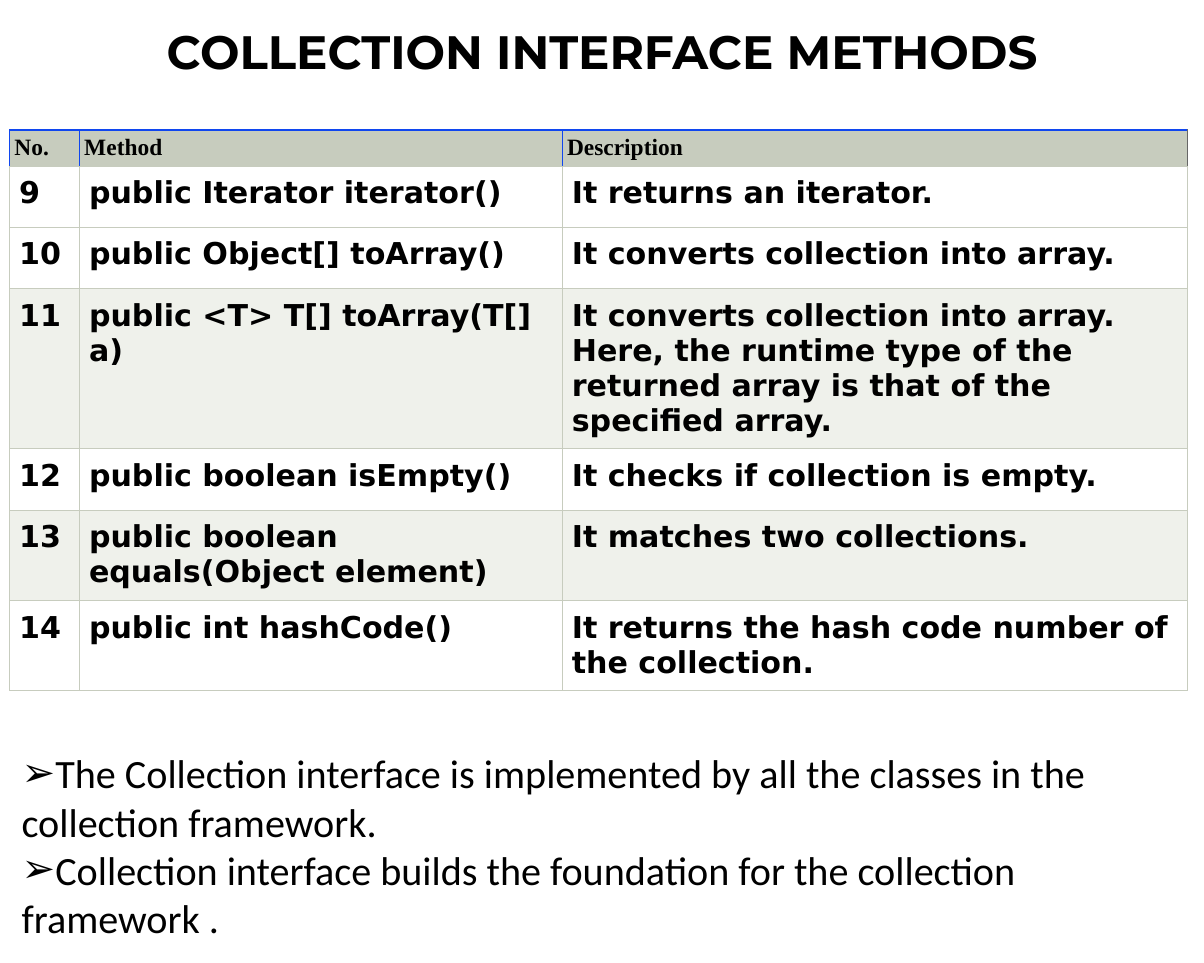
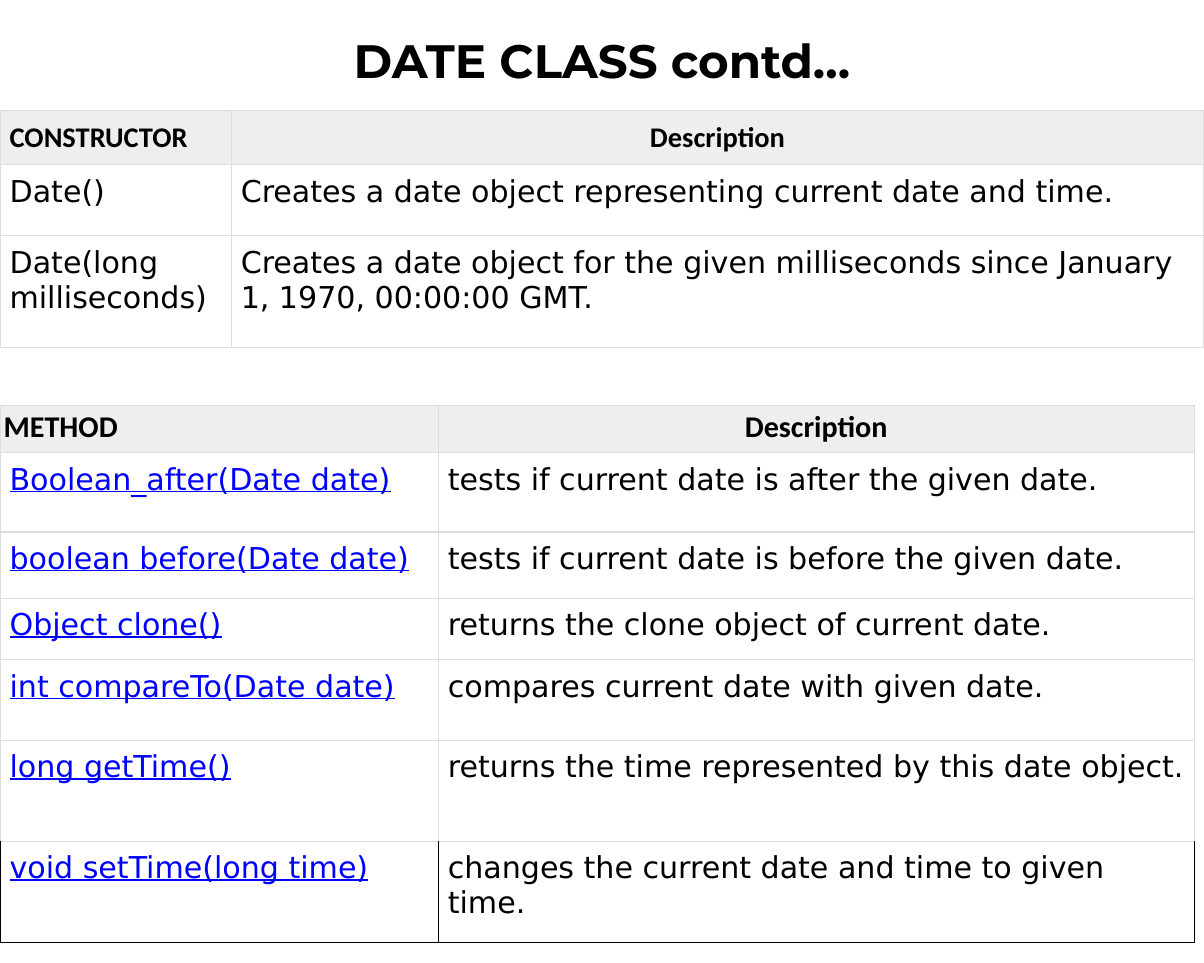
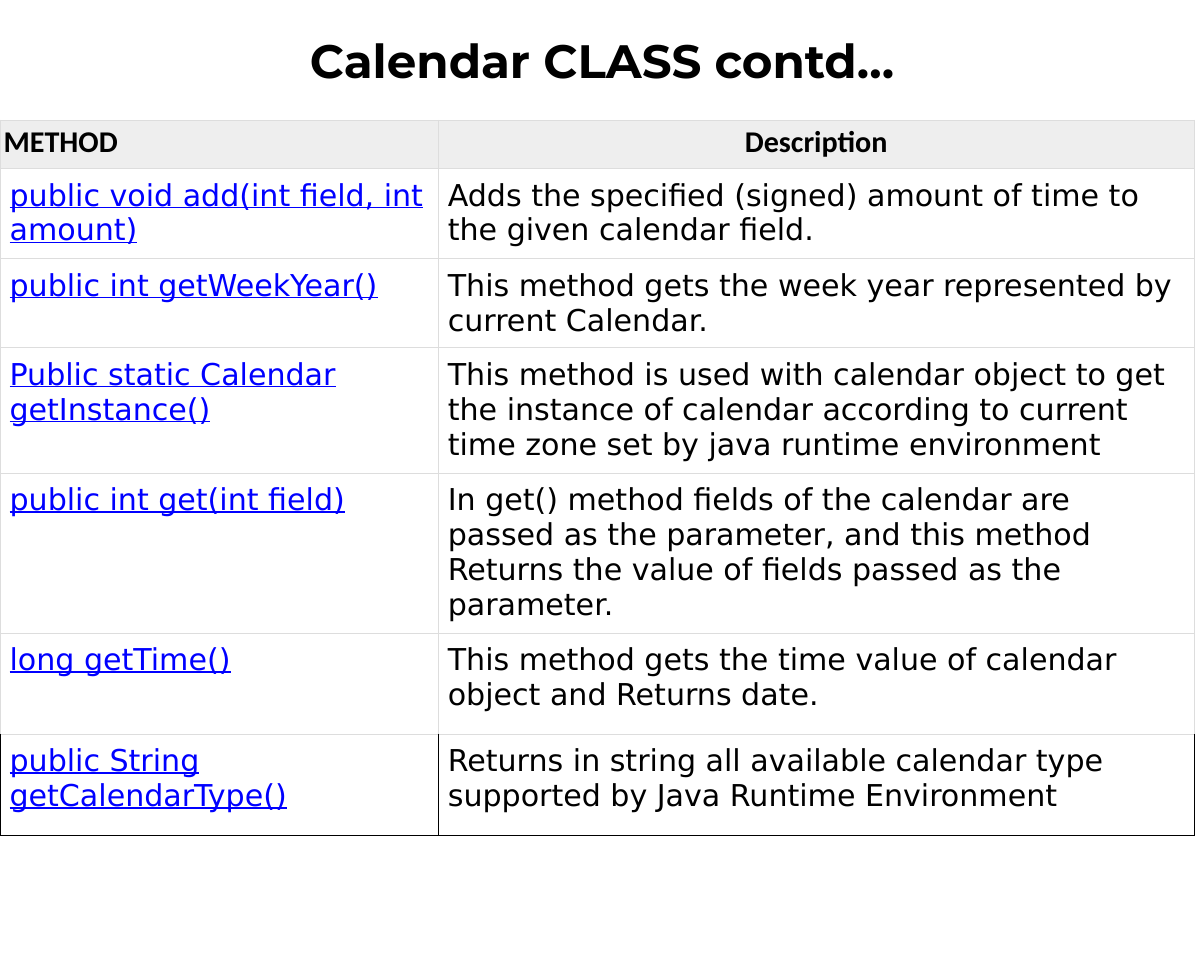
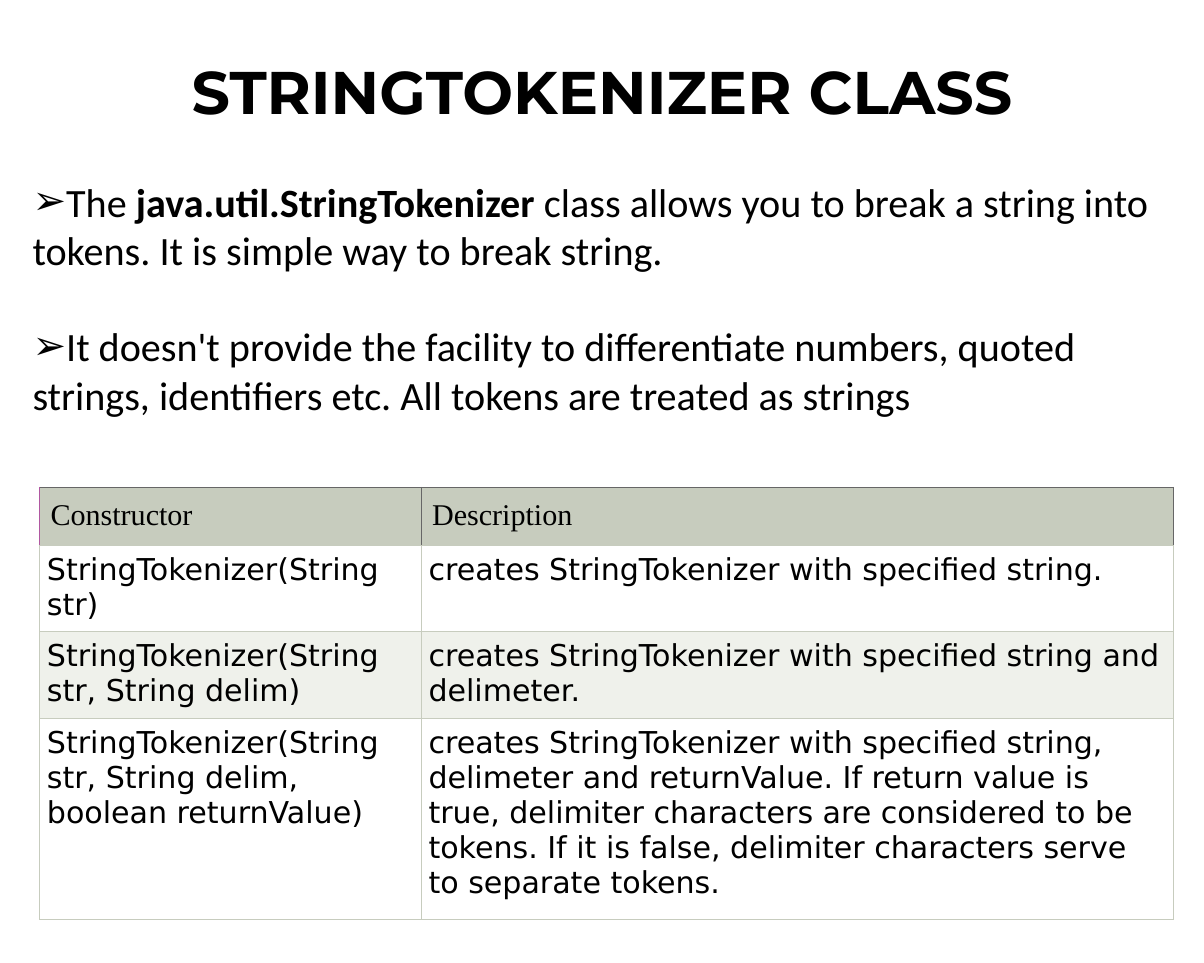
import collections

import lxml.etree
import pptx
import pptx.dml.color
import pptx.enum.text
import pptx.oxml.ns
import pptx.util

RGBColor = pptx.dml.color.RGBColor
BLACK = RGBColor(0x00, 0x00, 0x00)
WHITE = RGBColor(0xFF, 0xFF, 0xFF)
LINK_BLUE = RGBColor(0x00, 0x00, 0xFF)
SAGE = RGBColor(0xC7, 0xCC, 0xBE)
PALE_SAGE = RGBColor(0xEF, 0xF1, 0xEB)
RULE_GREY = RGBColor(0xDD, 0xDD, 0xDD)
HEADER_GREY = RGBColor(0xEE, 0xEE, 0xEE)
DARK_GREY = RGBColor(0x66, 0x66, 0x66)
EDGE_BLUE = RGBColor(0x10, 0x46, 0xEF)
EDGE_PURPLE = RGBColor(0xB0, 0x57, 0xA1)

# The slide is a grid of 100 columns by 80 rows of square units.
UNIT = pptx.util.Inches(0.1)
COLUMNS, ROWS = 100, 80
TITLE_LEFT, TITLE_WIDTH, TITLE_HEIGHT = 7.5, 85, 6.6
BODY_SIZE = pptx.util.Pt(24)
CELL_SIZE = pptx.util.Pt(18)
BORDER_WIDTH = pptx.util.Pt(0.75)
LEFT = pptx.enum.text.PP_ALIGN.LEFT
CENTER = pptx.enum.text.PP_ALIGN.CENTER

TableStyle = collections.namedtuple(
    "TableStyle",
    "header_font header_size header_bold header_fill header_margin header_edges "
    "description_align method_color method_underline body_bold body_margin "
    "rule closing_edge",
)
# header_edges holds the colours of the left, inner, right and top lines.
SAGE_BOLD = TableStyle(
    "Times New Roman", pptx.util.Pt(14), True, SAGE, 0.4,
    (EDGE_BLUE, EDGE_BLUE, DARK_GREY, EDGE_BLUE),
    LEFT, BLACK, False, True, 0.8, SAGE, SAGE)
SAGE_PLAIN = SAGE_BOLD._replace(
    header_size=CELL_SIZE, header_bold=False, header_margin=0.9,
    header_edges=(EDGE_PURPLE, DARK_GREY, DARK_GREY, DARK_GREY),
    body_bold=False, body_margin=0.6)
GREY_CONSTRUCTORS = TableStyle(
    "Calibri", pptx.util.Pt(17), True, HEADER_GREY, 0.8, (RULE_GREY,) * 4,
    CENTER, BLACK, False, False, 0.8, RULE_GREY, RULE_GREY)
GREY_METHODS = GREY_CONSTRUCTORS._replace(
    header_size=CELL_SIZE, header_margin=0.3, method_color=LINK_BLUE,
    method_underline=True, closing_edge=BLACK)

presentation = pptx.Presentation()
presentation.slide_width = COLUMNS * UNIT
presentation.slide_height = ROWS * UNIT


def add_slide(title, title_top, title_size=28, bullets=(), body_box=None):
    """Add a titled slide; every second run of a bullet is bold."""
    layout = presentation.slide_layouts[1 if bullets else 5]
    slide = presentation.slides.add_slide(layout)
    shape = slide.shapes.title
    shape.left, shape.top, shape.width, shape.height = (
        int(length * UNIT)
        for length in (TITLE_LEFT, title_top, TITLE_WIDTH, TITLE_HEIGHT))
    shape.text_frame.text = title
    shape.text_frame.vertical_anchor = pptx.enum.text.MSO_ANCHOR.MIDDLE
    shape.text_frame.auto_size = pptx.enum.text.MSO_AUTO_SIZE.NONE
    paragraph = shape.text_frame.paragraphs[0]
    paragraph.alignment = CENTER
    paragraph.font.name = "Montserrat"
    paragraph.font.size = pptx.util.Pt(title_size)
    paragraph.font.bold = True
    paragraph.font.color.rgb = BLACK
    if not bullets:
        return slide

    body = slide.placeholders[1]
    body.left, body.top, body.width, body.height = (
        int(length * UNIT) for length in body_box)
    body.text_frame.auto_size = pptx.enum.text.MSO_AUTO_SIZE.NONE
    for index, runs in enumerate(bullets):
        paragraph = (body.text_frame.add_paragraph() if index
                     else body.text_frame.paragraphs[0])
        properties = paragraph._p.get_or_add_pPr()
        properties.set("marL", "0")
        properties.set("indent", "0")
        lxml.etree.SubElement(
            properties, pptx.oxml.ns.qn("a:buChar"), char="➢")
        paragraph.space_before = pptx.util.Pt(0)
        paragraph.font.name = "Calibri"
        paragraph.font.size = BODY_SIZE
        paragraph.font.color.rgb = BLACK
        for run_index, text in enumerate(runs):
            run = paragraph.add_run()
            run.text = text
            if run_index % 2:
                run.font.bold = True
    return slide


def add_table(slide, left, top, widths, heights, rows, style, shaded_rows=()):
    """Add a table with a header row; lengths are in grid units."""
    table = slide.shapes.add_table(
        len(rows), len(widths), int(left * UNIT), int(top * UNIT),
        int(sum(widths) * UNIT), int(sum(heights) * UNIT)).table
    table.first_row = table.horz_banding = False
    for column, width in zip(table.columns, widths):
        column.width = int(width * UNIT)
    last_row, last_column = len(rows) - 1, len(widths) - 1
    for row_index, texts in enumerate(rows):
        table.rows[row_index].height = int(heights[row_index] * UNIT)
        header = row_index == 0
        for column_index, text in enumerate(texts):
            cell = table.cell(row_index, column_index)
            cell.text = text
            margin = style.header_margin if header else style.body_margin
            cell.margin_left = cell.margin_right = int(margin * UNIT)
            cell.margin_top = cell.margin_bottom = int(margin * UNIT)
            cell.fill.solid()
            cell.fill.fore_color.rgb = (
                style.header_fill if header
                else PALE_SAGE if row_index in shaded_rows else WHITE)

            paragraph = cell.text_frame.paragraphs[0]
            described = column_index == last_column
            paragraph.alignment = (
                style.description_align if header and described else LEFT)
            font = paragraph.font
            font.name = style.header_font if header else "DejaVu Sans"
            font.size = style.header_size if header else CELL_SIZE
            font.bold = style.header_bold if header else style.body_bold
            linked = not header and not described
            font.color.rgb = style.method_color if linked else BLACK
            font.underline = linked and style.method_underline

            if header:
                first, inner, last, top_edge = style.header_edges
                edges = {"L": inner if column_index else first,
                         "R": last if described else inner,
                         "T": top_edge, "B": style.rule}
            else:
                side = style.closing_edge if row_index == last_row else style.rule
                edges = {"L": side, "R": side, "T": style.rule, "B": side}
            properties = cell._tc.get_or_add_tcPr()
            for position, (edge, color) in enumerate(edges.items()):
                line = lxml.etree.Element(
                    pptx.oxml.ns.qn("a:ln" + edge), w=str(BORDER_WIDTH))
                fill = lxml.etree.SubElement(
                    line, pptx.oxml.ns.qn("a:solidFill"))
                lxml.etree.SubElement(
                    fill, pptx.oxml.ns.qn("a:srgbClr"), val=str(color))
                properties.insert(position, line)


# Collection interface
slide = add_slide(
    "COLLECTION INTERFACE METHODS", 0.9,
    bullets=[
        ("The Collection interface is implemented by all the classes in the "
         "collection framework.",),
        ("Collection interface builds the foundation for the collection "
         "framework .",),
    ],
    body_box=(0.8, 61.7, 96.7, 17.2))
add_table(
    slide, 0.8, 10.8, (5.8, 40.1, 51.9), (3, 5.1, 5.1, 13.3, 5.1, 7.5, 7.5),
    [
        ("No.", "Method", "Description"),
        ("9", "public Iterator iterator()", "It returns an iterator."),
        ("10", "public Object[] toArray()", "It converts collection into array."),
        ("11", "public <T> T[] toArray(T[] a)",
         "It converts collection into array. Here, the runtime type of the "
         "returned array is that of the specified array."),
        ("12", "public boolean isEmpty()", "It checks if collection is empty."),
        ("13", "public boolean equals(Object element)",
         "It matches two collections."),
        ("14", "public int hashCode()",
         "It returns the hash code number of the collection."),
    ],
    SAGE_BOLD, shaded_rows=(3, 5))

# Date class
METHOD_WIDTHS = (36.4, 62.8)
slide = add_slide("DATE CLASS contd…", 1.7)
add_table(
    slide, 0, 9.2, (19.2, 80.8), (4.5, 5.9, 9.3),
    [
        ("CONSTRUCTOR", "Description"),
        ("Date()", "Creates a date object representing current date and time."),
        ("Date(long milliseconds)",
         "Creates a date object for the given milliseconds since January 1, "
         "1970, 00:00:00 GMT."),
    ],
    GREY_CONSTRUCTORS)
add_table(
    slide, 0, 33.7, METHOD_WIDTHS, (3.9, 6.6, 5.5, 5.1, 6.7, 8.4, 8.4),
    [
        ("METHOD", "Description"),
        ("Boolean_after(Date date)",
         "tests if current date is after the given date."),
        ("boolean before(Date date)",
         "tests if current date is before the given date."),
        ("Object clone()", "returns the clone object of current date."),
        ("int compareTo(Date date)", "compares current date with given date."),
        ("long getTime()", "returns the time represented by this date object."),
        ("void setTime(long time)",
         "changes the current date and time to given time."),
    ],
    GREY_METHODS)

# Calendar class
slide = add_slide("Calendar CLASS contd…", 1.7)
add_table(
    slide, 0, 10, METHOD_WIDTHS, (4, 7.5, 7.4, 10.4, 13.3, 8.4, 8.4),
    [
        ("METHOD", "Description"),
        ("public void add(int field, int amount)",
         "Adds the specified (signed) amount of time to the given calendar "
         "field."),
        ("public int getWeekYear()",
         "This method gets the week year represented by current Calendar."),
        ("Public static Calendar getInstance()",
         "This method is used with calendar object to get the instance of "
         "calendar according to current time zone set by java runtime "
         "environment"),
        ("public int get(int field)",
         "In get() method fields of the calendar are passed as the parameter, "
         "and this method Returns the value of fields passed as the parameter."),
        ("long getTime()",
         "This method gets the time value of calendar object and Returns date."),
        ("public String getCalendarType()",
         "Returns in string all available calendar type supported by Java "
         "Runtime Environment"),
    ],
    GREY_METHODS)

# StringTokenizer class
slide = add_slide(
    "STRINGTOKENIZER CLASS", 4.2, title_size=36,
    bullets=[
        ("The ", "java.util.StringTokenizer",
         " class allows you to break a string into tokens. It is simple way "
         "to break string."),
        ("It doesn't provide the facility to differentiate numbers, quoted "
         "strings, identifiers etc. All tokens are treated as strings",),
    ],
    body_box=(1.7, 14.2, 95.8, 21.2))
slide.placeholders[1].text_frame.paragraphs[1].space_before = pptx.util.Pt(29)
add_table(
    slide, 3.3, 40.5, (31.7, 62.5), (4.8, 7.2, 7.2, 16.7),
    [
        ("Constructor", "Description"),
        ("StringTokenizer(String str)",
         "creates StringTokenizer with specified string."),
        ("StringTokenizer(String str, String delim)",
         "creates StringTokenizer with specified string and delimeter."),
        ("StringTokenizer(String str, String delim, boolean returnValue)",
         "creates StringTokenizer with specified string, delimeter and "
         "returnValue. If return value is true, delimiter characters are "
         "considered to be tokens. If it is false, delimiter characters serve "
         "to separate tokens."),
    ],
    SAGE_PLAIN, shaded_rows=(2,))

presentation.save("out.pptx")
